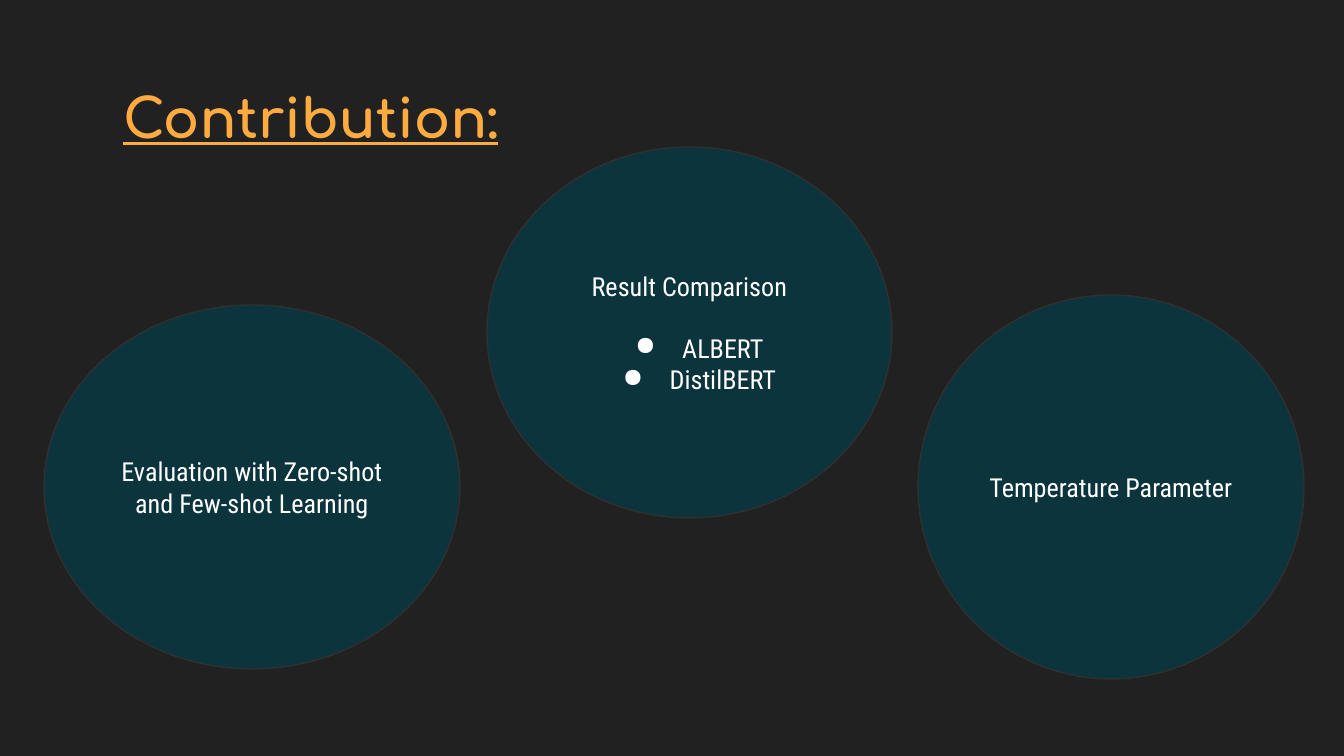
from lxml import etree
from pptx import Presentation
from pptx.dml.color import RGBColor
from pptx.enum.shapes import MSO_SHAPE
from pptx.enum.text import MSO_ANCHOR, MSO_AUTO_SIZE, PP_ALIGN
from pptx.oxml.ns import qn
from pptx.util import Pt

ELLIPSE = MSO_SHAPE.OVAL
TOP, MIDDLE = MSO_ANCHOR.TOP, MSO_ANCHOR.MIDDLE
LEFT, CENTER = PP_ALIGN.LEFT, PP_ALIGN.CENTER
NO_AUTOFIT = MSO_AUTO_SIZE.NONE

BACKGROUND = RGBColor(0x21, 0x21, 0x21)
ORANGE = RGBColor(0xFF, 0xAB, 0x40)
TEAL = RGBColor(0x0C, 0x34, 0x3D)
OUTLINE = RGBColor(0x30, 0x30, 0x30)
WHITE = RGBColor(0xFF, 0xFF, 0xFF)

EMU_PER_PX = 914400 / 134.4


def px(*lengths):
    return [round(length * EMU_PER_PX) for length in lengths]


def add_bullet(paragraph):
    indent, hanging = px(67, -47)
    properties = paragraph._p.get_or_add_pPr()
    properties.set("marL", str(indent))
    properties.set("indent", str(hanging))
    color = etree.SubElement(properties, qn("a:buClr"))
    etree.SubElement(color, qn("a:srgbClr"), val=str(WHITE))
    etree.SubElement(properties, qn("a:buChar"), char="●")


presentation = Presentation()
presentation.slide_width, presentation.slide_height = px(1344, 756)
slide = presentation.slides.add_slide(presentation.slide_layouts[5])
slide.background.fill.solid()
slide.background.fill.fore_color.rgb = BACKGROUND

# Title
title = slide.shapes.title
title.left, title.top, title.width, title.height = px(110, 71, 603, 75)
frame = title.text_frame
frame.text = "Contribution:"
frame.word_wrap = True
frame.auto_size = NO_AUTOFIT
frame.vertical_anchor = TOP
frame.margin_left, frame.margin_top, frame.margin_right, frame.margin_bottom = px(13, 13, 13, 13)
paragraph = frame.paragraphs[0]
paragraph.alignment = LEFT
font = paragraph.runs[0].font
font.name, font.size, font.color.rgb = "Comfortaa", Pt(29), ORANGE
font.bold = font.underline = True

# Contribution ellipses: box, heading, bullets
contributions = [
    ((44, 305, 416, 364), "Evaluation with Zero-shot and Few-shot Learning", []),
    ((487, 147, 405, 371), "Result Comparison", ["ALBERT", "DistilBERT"]),
    ((918, 295, 386, 384), "Temperature Parameter", []),
]
for box, heading, bullets in contributions:
    shape = slide.shapes.add_shape(ELLIPSE, *px(*box))
    shape.shadow.inherit = False
    shape.fill.solid()
    shape.fill.fore_color.rgb = TEAL
    shape.line.color.rgb = OUTLINE
    shape.line.width = Pt(0.75)

    frame = shape.text_frame
    frame.text = "\n".join([heading, *bullets])
    frame.word_wrap = True
    frame.vertical_anchor = MIDDLE
    frame.margin_left, frame.margin_top, frame.margin_right, frame.margin_bottom = px(13, 13, 13, 13)
    for paragraph in frame.paragraphs:
        paragraph.alignment = CENTER
        font = paragraph.runs[0].font
        font.name, font.size, font.color.rgb = "Roboto Condensed", Pt(14), WHITE
    if bullets:
        frame.paragraphs[0].space_after = Pt(16.4)
    for paragraph in frame.paragraphs[1:]:
        add_bullet(paragraph)

presentation.save("out.pptx")
